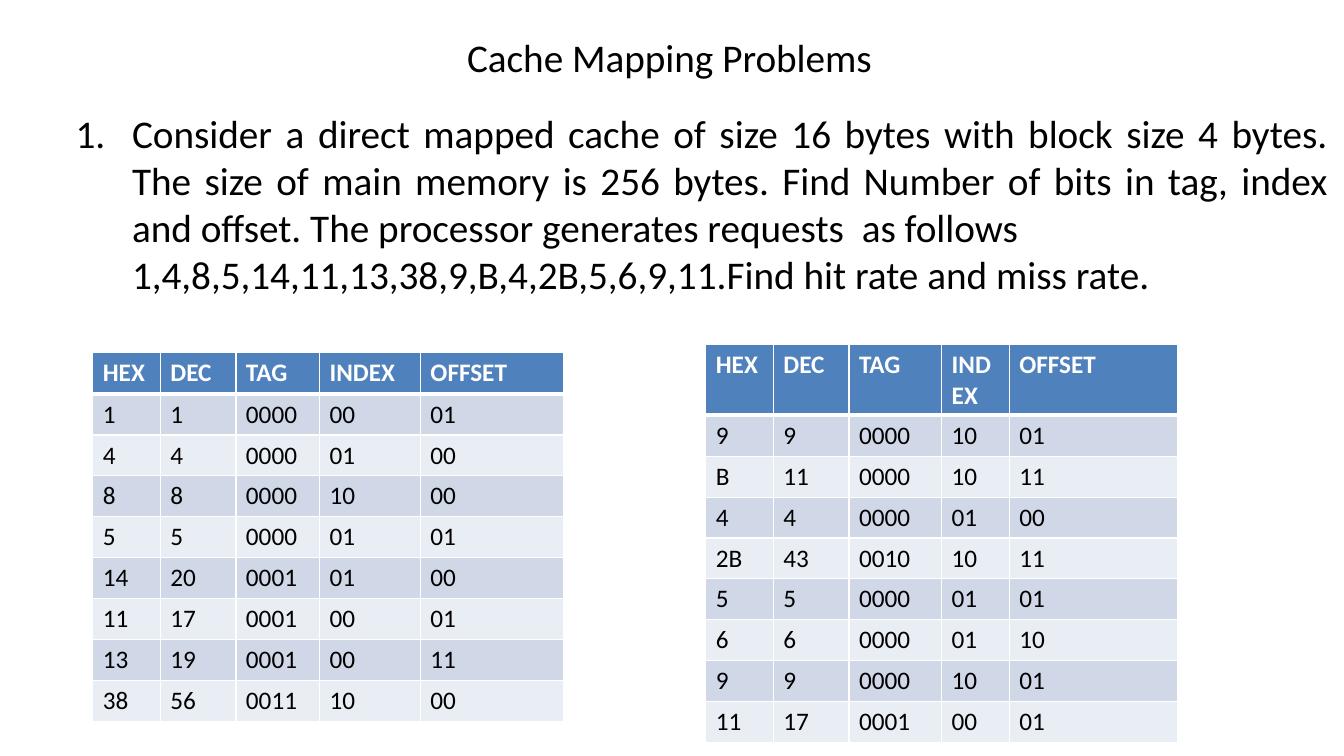
import pptx
import pptx.util
import pptx.dml.color
import pptx.enum.text
import pptx.oxml
import pptx.oxml.ns
from lxml import etree

Inches, Pt = pptx.util.Inches, pptx.util.Pt
RGBColor = pptx.dml.color.RGBColor
ALIGN = pptx.enum.text.PP_ALIGN

TITLE = "Cache Mapping Problems"
TASK = ("Consider a direct mapped cache of size 16 bytes with block size 4 bytes. "
        "The size of main memory is 256 bytes. Find Number of bits in tag, index "
        "and offset. The processor generates requests  as follows")
ASK = "1,4,8,5,14,11,13,38,9,B,4,2B,5,6,9,11.Find hit rate and miss rate."
HEADS = ["HEX", "DEC", "TAG", "INDEX", "OFFSET"]
# left, top, head height, column widths, requests in hex
TABLES = [
    (0.92, 3.5, 0.41, [0.67, 0.75, 0.83, 1, 1.42],
     ["1", "4", "8", "5", "14", "11", "13", "38"]),
    (7, 3.42, 0.7, [0.67, 0.75, 0.92, 0.67, 1.67],
     ["9", "B", "4", "2B", "5", "6", "9", "11"]),
]

FONT = "Calibri"
ROW = 3.65 / 9
INDENT = 0.56
BLACK = RGBColor(0x00, 0x00, 0x00)
WHITE = RGBColor(0xFF, 0xFF, 0xFF)
BLUE = RGBColor(0x4F, 0x81, 0xBD)
BANDS = [RGBColor(0xD0, 0xD8, 0xE8), RGBColor(0xE9, 0xED, 0xF4)]


def split(request):
    """Split a hex address into 4 tag, 2 index and 2 offset bits."""
    dec = int(request, 16)
    bits = f"{dec:08b}"
    return [request, str(dec), bits[:4], bits[4:6], bits[6:]]


def style(para, size, color=BLACK, bold=False):
    font = para.font
    font.name, font.size, font.bold = FONT, Pt(size), bold
    font.color.rgb = color


def add_text(slide, left, top, width, height, lines, align):
    box = slide.shapes.add_textbox(Inches(left), Inches(top),
                                   Inches(width), Inches(height))
    frame = box.text_frame
    frame.word_wrap = True
    frame.margin_left = frame.margin_right = 0
    frame.margin_top = frame.margin_bottom = 0
    frame.text = "\n".join(lines)
    for para in frame.paragraphs:
        para.alignment = align
        style(para, 28)
    return frame.paragraphs


def indent(para, number):
    props = para._p.get_or_add_pPr()
    props.set("marL", str(Inches(INDENT)))
    if number:
        props.set("indent", str(-Inches(INDENT)))
        mark = pptx.oxml.parse_xml(
            f'<a:buAutoNum {pptx.oxml.ns.nsdecls("a")} type="arabicPeriod"/>')
        props.insert_element_before(mark, "a:tabLst", "a:defRPr", "a:extLst")


def border(cell, top, bottom):
    """Draw white cell edges; top and bottom widths are in points."""
    props = cell._tc.get_or_add_tcPr()
    edges = [("L", 1), ("R", 1), ("T", top), ("B", bottom)]
    for place, (side, width) in enumerate(edges):
        props.insert(place, pptx.oxml.parse_xml(
            f'<a:ln{side} {pptx.oxml.ns.nsdecls("a")} w="{Pt(width)}">'
            f'<a:solidFill><a:srgbClr val="{WHITE}"/></a:solidFill></a:ln{side}>'))


def add_table(slide, left, top, head, widths, requests):
    rows = [HEADS] + [split(request) for request in requests]
    heights = [head] + [ROW] * len(requests)
    table = slide.shapes.add_table(
        len(rows), len(HEADS), Inches(left), Inches(top),
        Inches(sum(widths)), Inches(sum(heights))).table
    for col, width in zip(table.columns, widths):
        col.width = Inches(width)
    for r, (row, height) in enumerate(zip(rows, heights)):
        table.rows[r].height = Inches(height)
        for c, text in enumerate(row):
            cell = table.cell(r, c)
            cell.text = text
            cell.fill.solid()
            cell.fill.fore_color.rgb = BANDS[(r - 1) % 2] if r else BLUE
            style(cell.text_frame.paragraphs[0], 18,
                  BLACK if r else WHITE, bold=r == 0)
            border(cell, 3 if r == 1 else 1, 3 if r == 0 else 1)


def main():
    deck = pptx.Presentation()
    deck.slide_width, deck.slide_height = Inches(13.33), Inches(7.5)
    slide = deck.slides.add_slide(deck.slide_layouts[6])
    add_text(slide, 2.92, 0.33, 7.44, 0.47, [TITLE], ALIGN.CENTER)
    task, ask = add_text(slide, 0.75, 1.08, 12.42, 2.83, [TASK, ASK], ALIGN.JUSTIFY)
    indent(task, True)
    indent(ask, False)
    for spec in TABLES:
        add_table(slide, *spec)
    deck.save("out.pptx")


if __name__ == "__main__":
    main()
